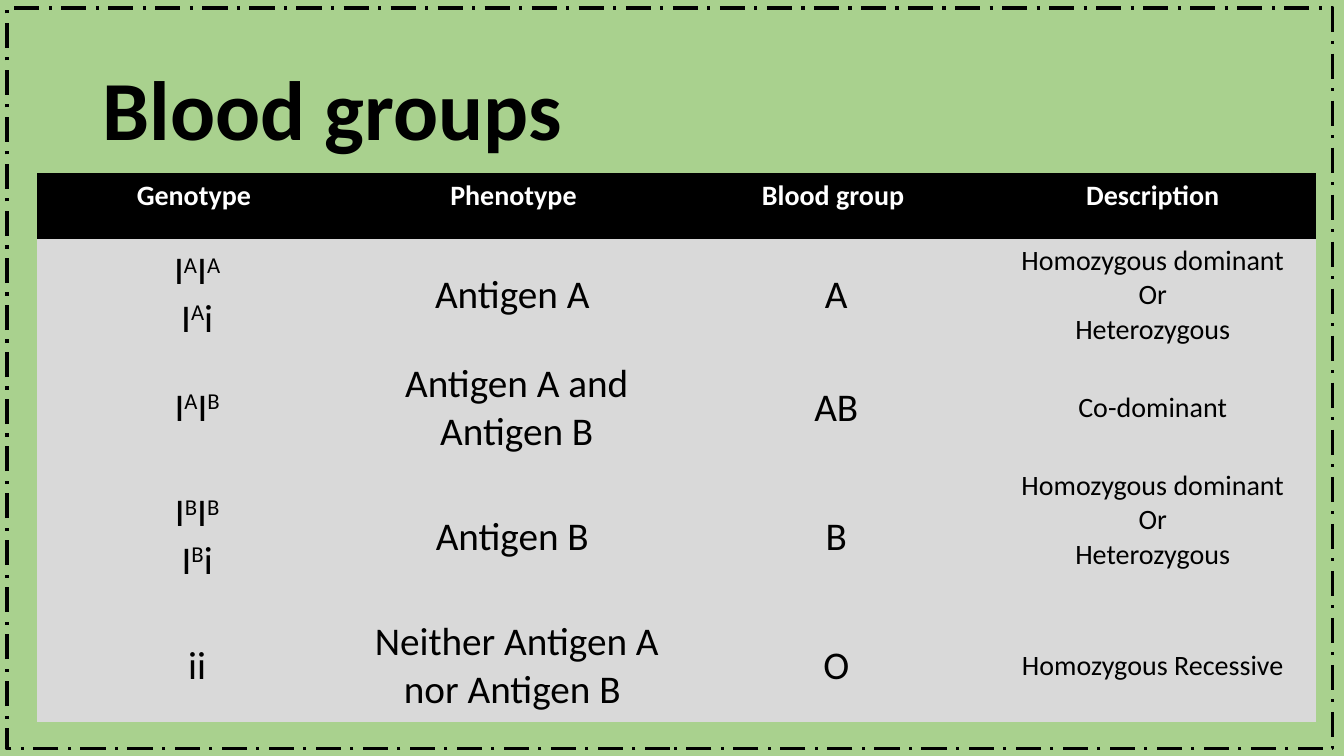
from dataclasses import dataclass

from lxml import etree
from pptx import Presentation
from pptx import util as u
from pptx.dml.color import RGBColor
from pptx.enum import dml, shapes, text
from pptx.oxml import ns

BLACK = RGBColor(0x00, 0x00, 0x00)
WHITE = RGBColor(0xFF, 0xFF, 0xFF)
GREEN = RGBColor(0xA9, 0xD1, 0x8E)
GREY = RGBColor(0xD9, 0xD9, 0xD9)
NO_STYLE_NO_GRID = "{2D5ABB26-0587-4C30-8999-92F81FD0307C}"

TITLE = dict(name="Calibri", size=u.Pt(60), bold=True)
HEADER = dict(name="Calibri", size=u.Pt(20), bold=True)
BODY = dict(name="Calibri", size=u.Pt(28), bold=False)
DESCRIPTION = dict(name="Calibri", size=u.Pt(20), bold=False)

COLUMN_WIDTH = 3.17
HEADERS = ("Genotype ", "Phenotype ", "Blood group ", "Description ")
HEADER_HEIGHT = 0.65


@dataclass(frozen=True)
class BloodGroup:
    """One table row; a caret in the genotype raises the next letter."""
    genotype: str
    phenotype: str
    group: str
    description: str
    height: float
    description_bottom: float = 0.05


EITHER = "Homozygous dominant \nOr \nHeterozygous "
BLOOD_GROUPS = (
    BloodGroup("I^AI^A\nI^Ai", "Antigen A ", "A", EITHER, 1.12),
    BloodGroup("I^AI^B", "Antigen A and Antigen B", "AB", "Co-dominant ", 1.11),
    BloodGroup("I^BI^B\nI^Bi", "Antigen B ", "B", EITHER, 1.46, 0.39),
    BloodGroup("ii", "Neither Antigen A nor Antigen B ", "O",
               "Homozygous Recessive ", 1.1),
)


def place(shape, left: float, top: float, width: float, height: float) -> None:
    for name, value in dict(left=left, top=top, width=width, height=height).items():
        setattr(shape, name, u.Inches(value))


def add_run(paragraph, words: str, style: dict, color: RGBColor,
            raised: bool = False) -> None:
    if not words:
        return
    run = paragraph.add_run()
    run.text = words
    for name, value in style.items():
        setattr(run.font, name, value)
    run.font.color.rgb = color
    if raised:
        run.font._element.set("baseline", "30000")


def fill_cell(cell, words: str, style: dict, color: RGBColor, fill: RGBColor,
              anchor: text.MSO_ANCHOR) -> None:
    cell.fill.solid()
    cell.fill.fore_color.rgb = fill
    cell.vertical_anchor = anchor
    for index, line in enumerate(words.split("\n")):
        frame = cell.text_frame
        paragraph = frame.add_paragraph() if index else frame.paragraphs[0]
        paragraph.alignment = text.PP_ALIGN.CENTER
        plain, *raised_parts = line.split("^")
        add_run(paragraph, plain, style, color)
        for part in raised_parts:
            add_run(paragraph, part[0], style, color, raised=True)
            add_run(paragraph, part[1:], style, color)


def add_title(slide) -> None:
    title = slide.shapes.title
    place(title, 0.92, 0.4, 11.5, 1.45)
    frame = title.text_frame
    frame.vertical_anchor = text.MSO_ANCHOR.MIDDLE
    frame.auto_size = text.MSO_AUTO_SIZE.NONE
    paragraph = frame.paragraphs[0]
    paragraph.alignment = text.PP_ALIGN.LEFT
    paragraph.line_spacing = 0.9
    add_run(paragraph, "Blood groups", TITLE, BLACK)


def add_blood_table(slide) -> None:
    heights = [HEADER_HEIGHT, *(row.height for row in BLOOD_GROUPS)]
    table = slide.shapes.add_table(
        len(heights), len(HEADERS), u.Inches(0.37), u.Inches(1.72),
        u.Inches(COLUMN_WIDTH * len(HEADERS)), u.Inches(sum(heights))).table
    table.first_row = table.horz_banding = False
    style_id = table._tbl.tblPr.find(ns.qn("a:tableStyleId"))
    style_id.text = NO_STYLE_NO_GRID
    for column in table.columns:
        column.width = u.Inches(COLUMN_WIDTH)
    for row, height in zip(table.rows, heights):
        row.height = u.Inches(height)

    for column, words in enumerate(HEADERS):
        fill_cell(table.cell(0, column), words, HEADER, WHITE, BLACK,
                  text.MSO_ANCHOR.TOP)
    for row, blood in enumerate(BLOOD_GROUPS, start=1):
        values = ((blood.genotype, BODY), (blood.phenotype, BODY),
                  (blood.group, BODY), (blood.description, DESCRIPTION))
        for column, (words, style) in enumerate(values):
            fill_cell(table.cell(row, column), words, style, BLACK, GREY,
                      text.MSO_ANCHOR.MIDDLE)
        table.cell(row, 3).margin_bottom = u.Inches(blood.description_bottom)


def add_border(slide) -> None:
    border = slide.shapes.add_shape(
        shapes.MSO_SHAPE.RECTANGLE, u.Inches(0.07), u.Inches(0.08),
        u.Inches(13.15), u.Inches(7.35))
    border.shadow.inherit = False
    border.fill.background()
    border.line.color.rgb = BLACK
    border.line.width = u.Pt(2.25)
    border.line.dash_style = dml.MSO_LINE.LONG_DASH_DOT


def main() -> None:
    presentation = Presentation()
    presentation.slide_width = u.Inches(13.33)
    presentation.slide_height = u.Inches(7.5)
    slide = presentation.slides.add_slide(presentation.slide_layouts[5])
    slide.background.fill.solid()
    slide.background.fill.fore_color.rgb = GREEN
    add_title(slide)
    add_blood_table(slide)
    add_border(slide)
    presentation.save("out.pptx")


if __name__ == "__main__":
    main()
